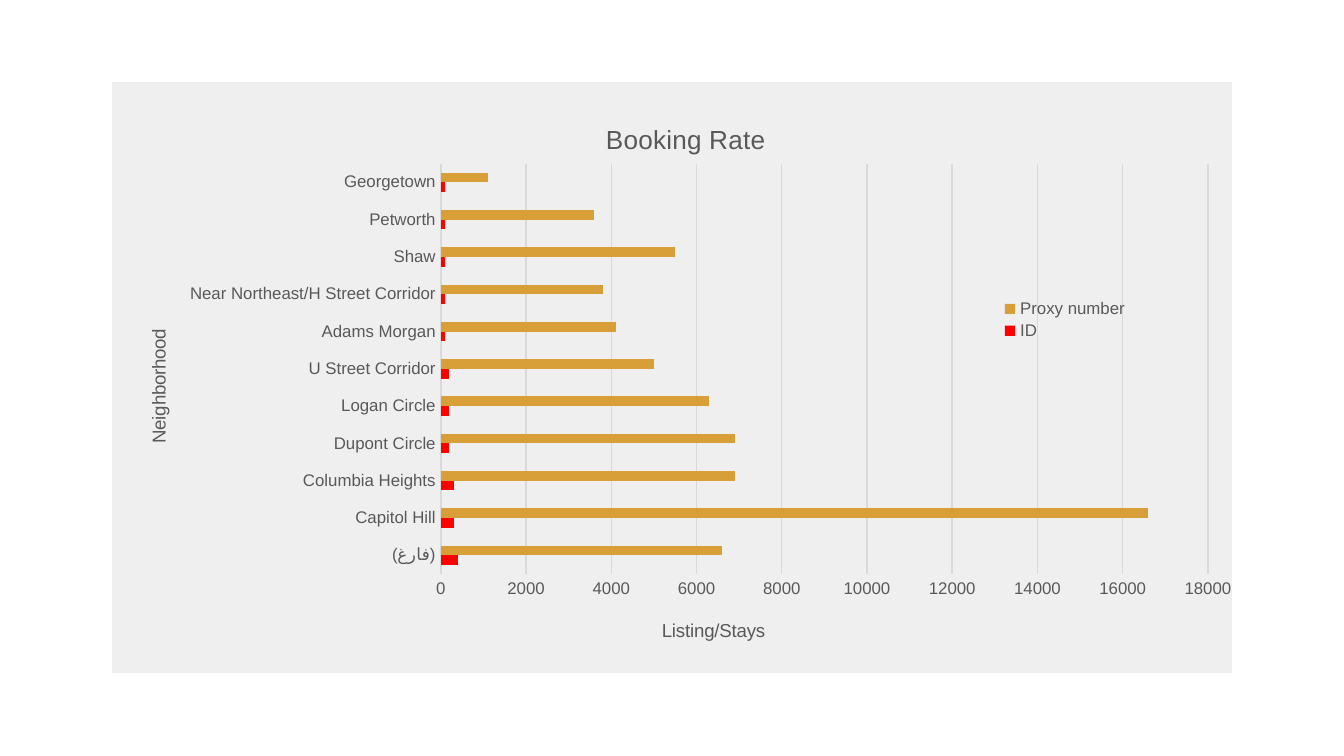
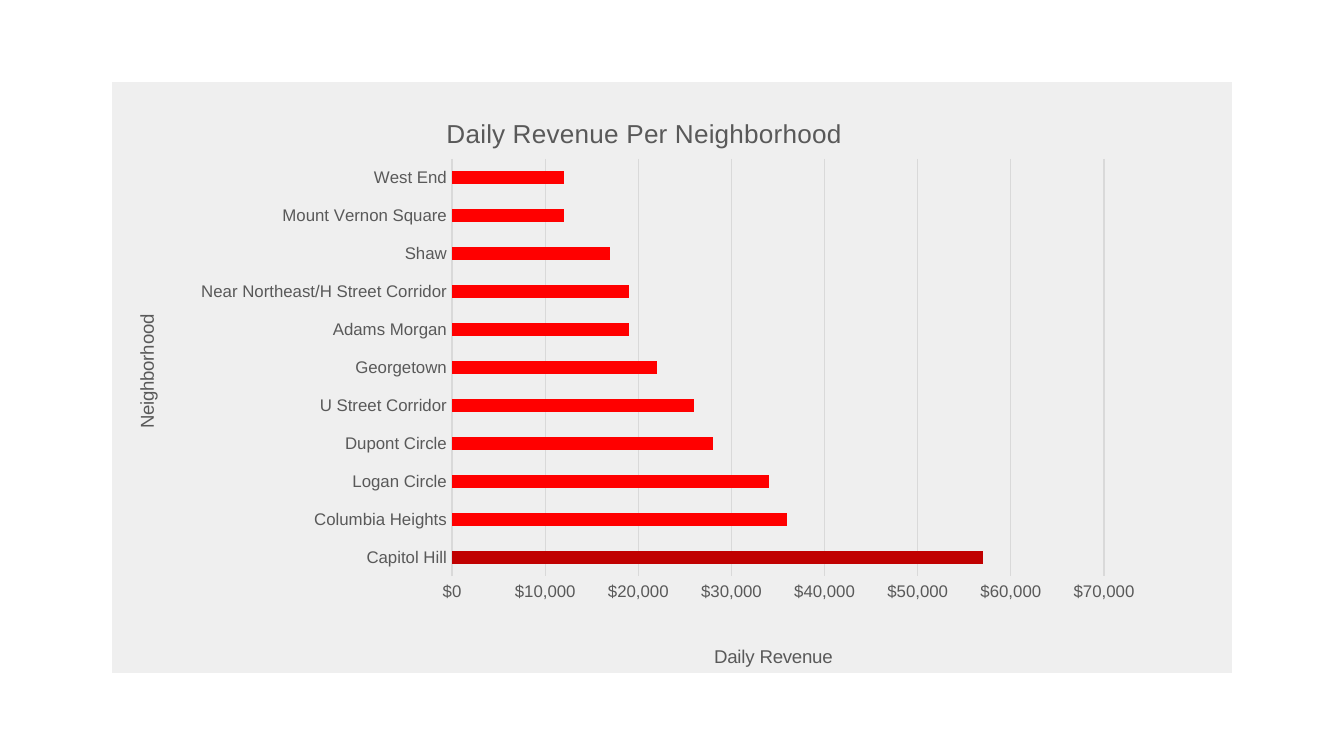
from lxml.etree import SubElement
from pptx import Presentation
from pptx.chart.data import CategoryChartData
from pptx.dml.color import RGBColor
from pptx.enum.chart import XL_CHART_TYPE, XL_LEGEND_POSITION, XL_TICK_MARK
from pptx.enum.shapes import MSO_SHAPE
from pptx.oxml.ns import qn
from pptx.util import Pt

COLORS = {
    "panel": "EFEFEF",
    "text": "595959",
    "grid": "D9D9D9",
    "red": "FF0000",
    "dark_red": "C00000",
    "gold": "D89F39",
}
PANEL_BOX = (60, 44, 600, 316.5)
TITLE_FONT = {"name": "Arial", "size": Pt(14), "bold": False}
AXIS_TITLE_FONT = {"name": "Arial", "size": Pt(10), "bold": False}
LABEL_FONT = {"name": "Arial", "size": Pt(9), "bold": False}

BOOKING_RATE = {
    "title": "Booking Rate",
    "box": (58.3, 47.5, 613.4, 309.6),
    "categories": [
        "(فارغ)", "Capitol Hill", "Columbia Heights", "Dupont Circle",
        "Logan Circle", "U Street Corridor", "Adams Morgan",
        "Near Northeast/H Street Corridor", "Shaw", "Petworth", "Georgetown",
    ],
    "series": [
        ("ID", [400, 300, 300, 200, 200, 200, 100, 100, 100, 100, 100], "red"),
        ("Proxy number",
         [6600, 16600, 6900, 6900, 6300, 5000, 4100, 3800, 5500, 3600, 1100], "gold"),
    ],
    "value_title": "Listing/Stays",
    "number_format": "General",
    "maximum": 18000,
    "step": 2000,
    "places": {
        "plot": (0.29, 0.13, 0.67, 0.71),
        "title": (0.43, 0.05),
        "category_title": (0.03, 0.41),
        "value_title": (0.48, 0.91),
        "legend": (0.78, 0.36, 0.11, 0.08),
    },
}
DAILY_REVENUE = {
    "title": "Daily Revenue Per Neighborhood",
    "box": (64.8, 44, 554.4, 316.8),
    "categories": [
        "Capitol Hill", "Columbia Heights", "Logan Circle", "Dupont Circle",
        "U Street Corridor", "Georgetown", "Adams Morgan",
        "Near Northeast/H Street Corridor", "Shaw", "Mount Vernon Square", "West End",
    ],
    "series": [
        ("Series 1",
         [57000, 36000, 34000, 28000, 26000, 22000, 19000, 19000, 17000, 12000, 12000],
         "red"),
    ],
    "highlight": (0, "dark_red"),
    "value_title": "Daily Revenue",
    "number_format": '"$"#,##0',
    "maximum": 70000,
    "step": 10000,
    "places": {
        "plot": (0.32, 0.13, 0.63, 0.71),
        "title": (0.31, 0.05),
        "category_title": (0.01, 0.39),
        "value_title": (0.57, 0.95),
    },
}


def color(name):
    return RGBColor.from_string(COLORS[name])


def fill_solid(target, name):
    target.fill.solid()
    target.fill.fore_color.rgb = color(name)


def set_font(font, values):
    for attribute, value in values.items():
        setattr(font, attribute, value)
    font.color.rgb = color("text")


def set_line(line, name):
    line.color.rgb = color(name)
    line.width = Pt(0.75)


def place(element, fractions, after=None):
    """Give a chart part a manual layout in fractions of the chart's size."""
    for old_layout in element.findall(qn("c:layout")):
        element.remove(old_layout)
    layout = SubElement(element, qn("c:layout"))
    index = 0 if after is None else element.index(element.find(qn(after))) + 1
    element.insert(index, layout)
    manual = SubElement(layout, qn("c:manualLayout"))
    if after is None:
        SubElement(manual, qn("c:layoutTarget")).set("val", "inner")
    for tag in ("c:xMode", "c:yMode"):
        SubElement(manual, qn(tag)).set("val", "edge")
    for tag, fraction in zip(("c:x", "c:y", "c:w", "c:h"), fractions):
        SubElement(manual, qn(tag)).set("val", str(fraction))


def add_title(title, text, font_values, fractions):
    paragraph = title.text_frame.paragraphs[0]
    run = paragraph.add_run()
    run.text = text
    set_font(run.font, font_values)
    place(title._element, fractions, after="c:tx")


def add_panel(slide):
    panel = slide.shapes.add_shape(MSO_SHAPE.RECTANGLE, *map(Pt, PANEL_BOX))
    panel.shadow.inherit = False
    fill_solid(panel, "panel")
    panel.line.fill.background()


def format_axes(chart, content):
    category_axis, value_axis = chart.category_axis, chart.value_axis
    titles = {"category_title": (category_axis, "Neighborhood"),
              "value_title": (value_axis, content["value_title"])}
    for key, (axis, text) in titles.items():
        axis.major_tick_mark = axis.minor_tick_mark = XL_TICK_MARK.NONE
        set_font(axis.tick_labels.font, LABEL_FONT)
        add_title(axis.axis_title, text, AXIS_TITLE_FONT, content["places"][key])
    category_axis.has_major_gridlines = False
    set_line(category_axis.format.line, "grid")
    value_axis.has_major_gridlines = True
    set_line(value_axis.major_gridlines.format.line, "grid")
    value_axis.format.line.fill.background()
    value_axis.minimum_scale = 0
    value_axis.maximum_scale = content["maximum"]
    value_axis.major_unit = content["step"]
    value_axis.tick_labels.number_format = content["number_format"]
    value_axis.tick_labels.number_format_is_linked = False


def color_bars(plot, content):
    plot.gap_width = 182
    plot.overlap = 0
    plot.vary_by_categories = False
    for series, (_, _, name) in zip(plot.series, content["series"]):
        fill_solid(series.format, name)
        series.invert_if_negative = False
    if "highlight" in content:
        index, name = content["highlight"]
        fill_solid(plot.series[0].points[index].format, name)


def add_legend(chart, fractions):
    chart.has_legend = True
    legend = chart.legend
    legend.position = XL_LEGEND_POSITION.RIGHT
    legend.include_in_layout = True
    set_font(legend.font, LABEL_FONT)
    place(legend._element, fractions, after="c:legendPos")


def add_bar_chart(slide, content):
    data = CategoryChartData()
    data.categories = content["categories"]
    for name, values, _ in content["series"]:
        data.add_series(name, values)
    frame = slide.shapes.add_chart(
        XL_CHART_TYPE.BAR_CLUSTERED, *map(Pt, content["box"]), data)
    chart = frame.chart
    places = content["places"]
    chart.font.name = "Arial"
    chart.font.size = Pt(10)
    chart.has_title = True
    add_title(chart.chart_title, content["title"], TITLE_FONT, places["title"])
    format_axes(chart, content)
    color_bars(chart.plots[0], content)
    place(chart._chartSpace.chart.plotArea, places["plot"])
    chart.has_legend = False
    if "legend" in places:
        add_legend(chart, places["legend"])


def main():
    presentation = Presentation()
    presentation.slide_width = Pt(720)
    presentation.slide_height = Pt(405)
    for content in (BOOKING_RATE, DAILY_REVENUE):
        slide = presentation.slides.add_slide(presentation.slide_layouts[6])
        add_panel(slide)
        add_bar_chart(slide, content)
    presentation.save("out.pptx")


if __name__ == "__main__":
    main()
